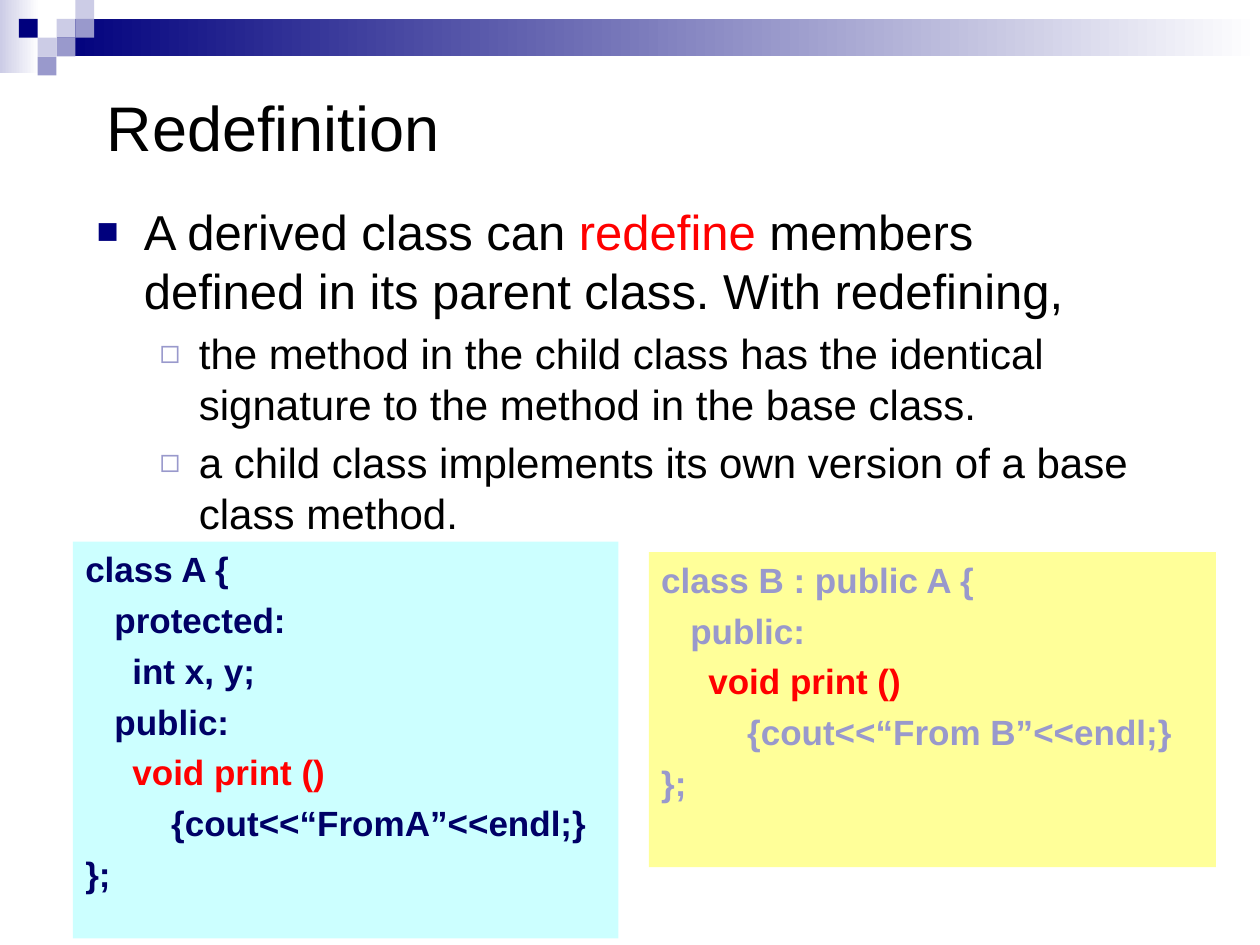
import pptx
import pptx.dml.color
import pptx.enum.shapes
import pptx.enum.text
import pptx.oxml.ns
import pptx.util
from lxml import etree
from pptx.util import Cm

COLORS = {
    "navy": "00007D", "lavender": "9999CC", "pale": "CCCCE6", "white": "FFFFFF",
    "black": "000000", "red": "FF0000", "code": "000066",
    "cyan": "CCFFFF", "yellow": "FFFF99",
}
UNIT = 0.38  # side of one header square, in cm

# Column, row and colour of each header square
SQUARES = [
    (3, 1, "pale"), (4, 0, "pale"), (4, 1, "lavender"), (2, 2, "pale"),
    (1, 1, "navy"), (3, 2, "lavender"), (2, 3, "lavender"),
]

# Bullet, colour, bullet size, left indent, hanging indent and text size by level
LEVELS = [
    {"char": "■", "color": "navy", "percent": 75, "left": 0.95, "hang": 0.95, "size": 28},
    {"char": "◻", "color": "lavender", "percent": 80, "left": 2.06, "hang": 0.79, "size": 24},
]
POINTS = [
    (0, [("A derived class can ", "black"), ("redefine", "red"),
         (" members defined in its parent class. With redefining,", "black")]),
    (1, [("the method in the child class has the identical signature "
          "to the method in the base class.", "black")]),
    (1, [("a child class implements its own version of a base class method.", "black")]),
]

HIGHLIGHT = "void print ()"
CLASS_A = ["class A {", "   protected:", "\tint x, y;", "   public:",
           "\tvoid print ()", "\t    {cout<<“FromA”<<endl;}", "};"]
CLASS_B = ["class B : public A {", "   public:", "\tvoid print ()",
           "\t    {cout<<“From B”<<endl;}", "};"]


def rgb(name):
    return pptx.dml.color.RGBColor.from_string(COLORS[name])


def set_values(target, values):
    for name, value in values.items():
        setattr(target, name, value)


def add_span(para, text, color, size, bold=False):
    span = para.add_run()
    span.text = text
    set_values(span.font, {"name": "Arial", "size": pptx.util.Pt(size), "bold": bold})
    span.font.color.rgb = rgb(color)


def next_para(frame, index, space):
    """Return the paragraph at index; all but the first get space before."""
    para = frame.add_paragraph() if index else frame.paragraphs[0]
    para.alignment = pptx.enum.text.PP_ALIGN.LEFT
    para.space_before = pptx.util.Pt(space if index else 0)
    return para


def set_indent(para, left, hang):
    properties = para._p.get_or_add_pPr()
    properties.set("marL", str(Cm(left)))
    properties.set("indent", str(-Cm(hang)))
    return properties


def set_bullet(para, level):
    properties = set_indent(para, level["left"], level["hang"])

    def add(parent, tag, **values):
        return etree.SubElement(parent, pptx.oxml.ns.qn(tag), values)

    add(add(properties, "a:buClr"), "a:srgbClr", val=COLORS[level["color"]])
    add(properties, "a:buSzPct", val=str(level["percent"] * 1000))
    add(properties, "a:buFont", typeface="Arial")
    add(properties, "a:buChar", char=level["char"])


def add_rectangle(page, box, *colors):
    """Add a borderless rectangle, solid or fading from left to right."""
    shape = page.shapes.add_shape(
        pptx.enum.shapes.MSO_SHAPE.RECTANGLE, *(Cm(length) for length in box))
    shape.shadow.inherit = False
    shape.line.fill.background()
    if len(colors) == 1:
        shape.fill.solid()
        shape.fill.fore_color.rgb = rgb(colors[0])
    else:
        shape.fill.gradient()
        shape.fill.gradient_angle = 0
        for stop, color, position in zip(shape.fill.gradient_stops, colors, (0, 1)):
            stop.color.rgb = rgb(color)
            stop.position = position
    return shape


def add_header(page, box):
    left, top, width, height = box
    add_rectangle(page, (left, top, 0.79, height), "pale", "white")
    add_rectangle(page, (left + 3 * UNIT, top + UNIT, width - 3 * UNIT, 2 * UNIT),
                  "navy", "white")
    for column, row, color in SQUARES:
        add_rectangle(page, (left + column * UNIT, top + row * UNIT, UNIT, UNIT), color)


def add_title(page, box, text):
    title = page.shapes.title
    set_values(title, dict(zip(("left", "top", "width", "height"), map(Cm, box))))
    frame = title.text_frame
    set_values(frame, {"word_wrap": True,
                       "auto_size": pptx.enum.text.MSO_AUTO_SIZE.NONE,
                       "vertical_anchor": pptx.enum.text.MSO_ANCHOR.MIDDLE})
    add_span(next_para(frame, 0, 0), text, "black", 36)


def add_points(page, box, points):
    frame = page.shapes.add_textbox(*map(Cm, box)).text_frame
    frame.word_wrap = True
    for index, (depth, spans) in enumerate(points):
        level = LEVELS[depth]
        para = next_para(frame, index, level["size"] * 0.2)
        para.level = depth
        set_bullet(para, level)
        for text, color in spans:
            add_span(para, text, color, level["size"])


def add_code(page, box, lines, fill, color):
    frame = add_rectangle(page, box, fill).text_frame
    set_values(frame, {"word_wrap": True,
                       "vertical_anchor": pptx.enum.text.MSO_ANCHOR.TOP})
    for index, line in enumerate(lines):
        para = next_para(frame, index, 5)
        set_indent(para, 0.95, 0.95)
        shade = "red" if line.strip() == HIGHLIGHT else color
        add_span(para, line, shade, 20, bold=True)


def main():
    deck = pptx.Presentation()
    set_values(deck, {"slide_width": Cm(25.4), "slide_height": Cm(19.05)})
    page = deck.slides.add_slide(deck.slide_layouts.get_by_name("Title Only"))

    add_header(page, (0, 0, 25.4, 1.47))
    add_title(page, (1.9, 1.7, 21.59, 1.7), "Redefinition")
    add_points(page, (1.7, 3.94, 21.59, 5.72), POINTS)

    # Parent and child class side by side
    add_code(page, (1.47, 10.92, 11, 8), CLASS_A, "cyan", "code")
    add_code(page, (13.08, 11.13, 11.43, 6.35), CLASS_B, "yellow", "lavender")

    deck.save("out.pptx")


if __name__ == "__main__":
    main()
